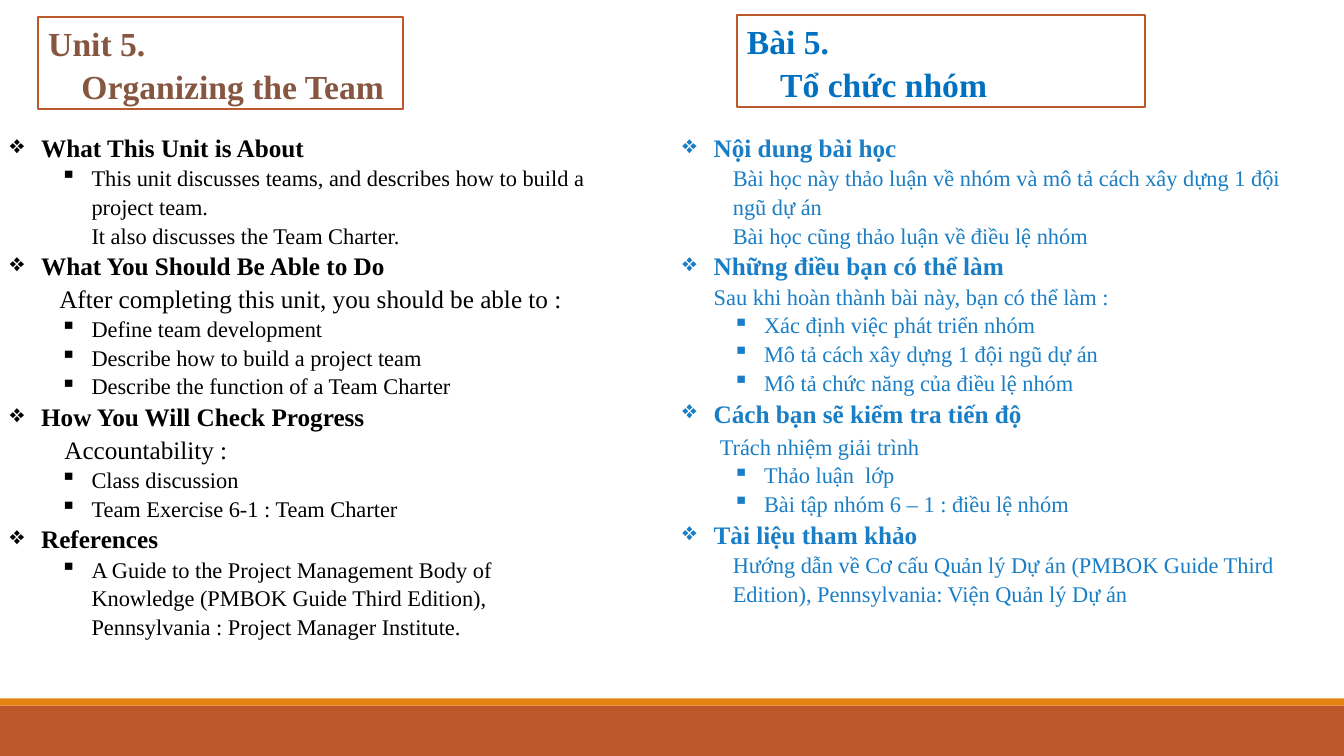
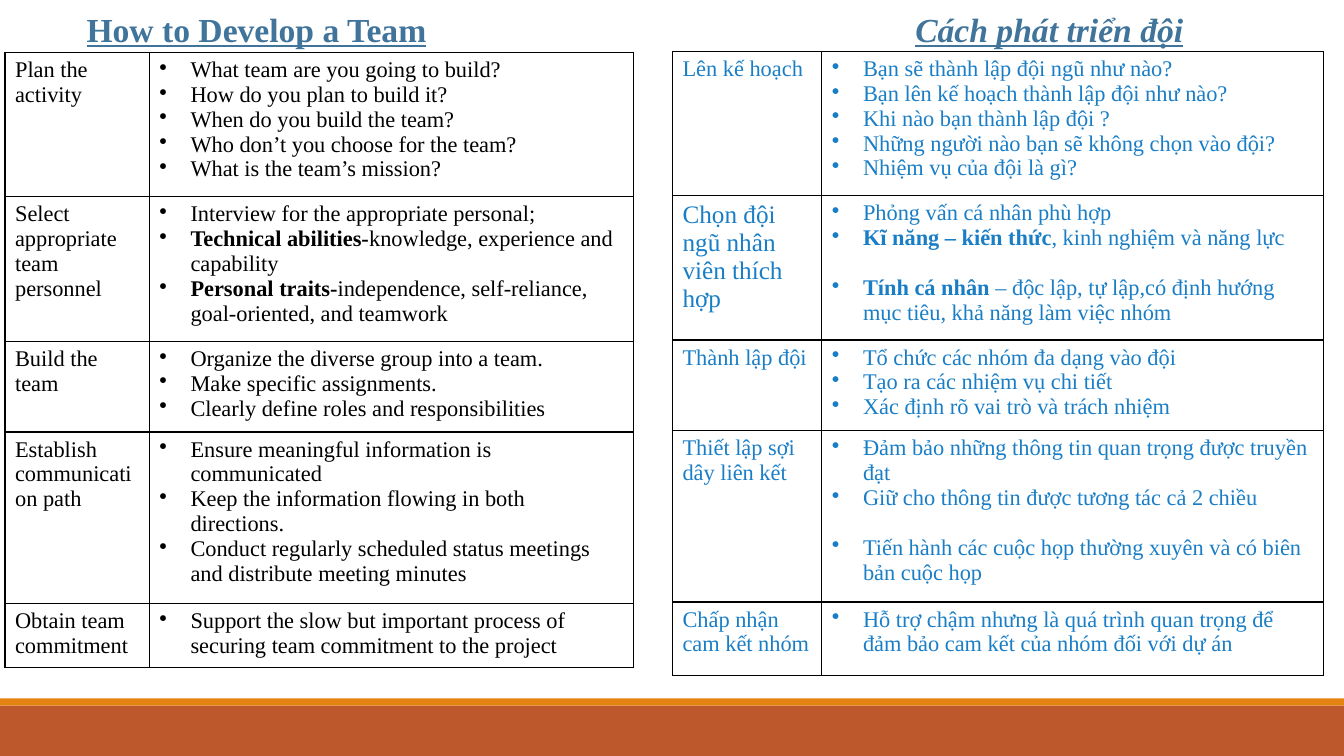
from lxml.etree import SubElement
from pptx import Presentation
from pptx.dml.color import RGBColor
from pptx.enum.shapes import MSO_SHAPE as Shape
from pptx.enum.text import MSO_ANCHOR as Anchor
from pptx.oxml.ns import qn
from pptx.util import Inches, Pt

BLACK, WHITE = "000000", "FFFFFF"
RUST, ORANGE = "BD582C", "E48312"
BROWN, BLUE, SKY, STEEL = "865640", "0070C0", "197EC6", "40749B"

# Line kinds: size, bold, left margin, bullet, space before
LINES = {
    "head": (18, True, 0.31, "❖", 0),
    "item": (16, False, 0.81, "▪", 0),
    "more": (16, False, 0.81, None, 0),
    "body": (16, False, 0.5, None, 0),
    "lead": (18, False, 0.49, None, 0),
    "lead_deep": (18, False, 0.54, None, 0),
    "lead_small": (16, False, 0.31, None, 0),
    "lead_spaced": (16, False, 0.37, None, 2),
    "label": (16, False, 0, None, 0),
    "label_large": (18, False, 0, None, 0),
    "point": (16, False, 0.31, "•", 0),
    "point_spaced": (16, False, 0.31, "•", 17.7),
}


def rgb(value):
    return RGBColor.from_string(value)


class Deck:
    font_name = "Times New Roman"
    hanging = 0.31
    line_spacing = 1.07

    def __init__(self):
        self.deck = Presentation()
        self.deck.slide_width, self.deck.slide_height = Inches(13.33), Inches(7.5)
        self.page = None

    def new_page(self):
        self.page = self.deck.slides.add_slide(self.deck.slide_layouts[6])
        self.rect(0, 7, 13.33, 0.5, RUST)
        self.rect(0, 6.93, 13.33, 0.07, ORANGE)

    def rect(self, left, top, width, height, fill, line=None):
        box = self.page.shapes.add_shape(
            Shape.RECTANGLE, Inches(left), Inches(top), Inches(width), Inches(height))
        box.shadow.inherit = False
        box.fill.solid()
        box.fill.fore_color.rgb = rgb(fill)
        if line:
            box.line.color.rgb = rgb(line)
            box.line.width = Pt(1.25)
        else:
            box.line.fill.background()
        return box

    def text_box(self, left, top, width, height):
        box = self.page.shapes.add_textbox(
            Inches(left), Inches(top), Inches(width), Inches(height))
        box.text_frame.word_wrap = True
        return box.text_frame

    def fill_para(self, para, text, color, size, bold=False, margin=0, bullet=None,
                  before=0, spacing=None, italic=False, underline=False):
        """Fill one paragraph; a (strong, rest) pair starts with a bold run."""
        properties = para._p.get_or_add_pPr()
        properties.set("marL", str(Inches(margin)))
        properties.set("indent", str(Inches(-self.hanging if bullet else 0)))
        properties.set("algn", "l")
        if bullet:
            SubElement(properties, qn("a:buChar"), char=bullet)
        else:
            SubElement(properties, qn("a:buNone"))
        para.space_before = Pt(before)
        if spacing:
            para.line_spacing = spacing
        font = para.font
        font.name, font.size, font.color.rgb = self.font_name, Pt(size), rgb(color)
        font.bold, font.italic, font.underline = bold, italic, underline
        parts = text if isinstance(text, tuple) else (text,)
        for part in parts:
            span = para.add_run()
            span.text = part
            if len(parts) > 1:
                span.font.bold = part is parts[0]

    def lines(self, frame, lines, color, spacing=None):
        for index, (kind, text) in enumerate(lines):
            para = frame.add_paragraph() if index else frame.paragraphs[0]
            size, bold, margin, bullet, before = LINES[kind]
            self.fill_para(para, text, color, size, bold, margin, bullet, before,
                           spacing)

    def framed_title(self, left, top, width, number, name, color):
        frame = self.rect(left, top, width, 0.91, WHITE, RUST).text_frame
        frame.vertical_anchor = Anchor.MIDDLE
        frame.word_wrap = True
        self.fill_para(frame.paragraphs[0], number, color, 24, True,
                       spacing=self.line_spacing)
        self.fill_para(frame.add_paragraph(), name, color, 24, True, margin=0.33,
                       spacing=self.line_spacing)

    def outline(self, left, top, width, height, lines, color):
        self.lines(self.text_box(left, top, width, height), lines, color,
                   self.line_spacing)

    def heading(self, left, width, text, italic=False):
        frame = self.text_box(left, 0.01, width, 0.5)
        self.fill_para(frame.paragraphs[0], text, STEEL, 24, True, italic=italic,
                       underline=True, spacing=self.line_spacing)

    def table(self, left, top, columns, heights, rows, color):
        table = self.page.shapes.add_table(
            len(rows), len(columns), Inches(left), Inches(top),
            Inches(sum(columns)), Inches(sum(heights))).table
        table.first_row = table.horz_banding = False
        for column, width in zip(table.columns, columns):
            column.width = Inches(width)
        for row, height, contents in zip(table.rows, heights, rows):
            row.height = Inches(height)
            for cell, lines in zip(row.cells, contents):
                self.borders(cell)
                cell.fill.background()
                self.lines(cell.text_frame, lines, color)

    def borders(self, cell):
        properties = cell._tc.get_or_add_tcPr()
        for side in ("lnL", "lnR", "lnT", "lnB"):
            edge = SubElement(properties, qn(f"a:{side}"), w=str(Pt(1)))
            fill = SubElement(edge, qn("a:solidFill"))
            SubElement(fill, qn("a:srgbClr"), val=BLACK)


def table_row(label, *points, kind="label", spaced=None):
    """Label cell and bullet cell; spaced is the point with a gap above it."""
    return ([(kind, label)],
            [("point_spaced" if index == spaced else "point", point)
             for index, point in enumerate(points)])


UNIT_ENGLISH = [
    ("head", "What This Unit is About"),
    ("item", "This unit discusses teams, and describes how to build a project team."),
    ("more", "It also discusses the Team Charter."),
    ("head", "What You Should Be Able to Do"),
    ("lead", "After completing this unit, you should be able to :"),
    ("item", "Define team development"),
    ("item", "Describe how to build a project team"),
    ("item", "Describe the function of a Team Charter"),
    ("head", "How You Will Check Progress"),
    ("lead_deep", "Accountability :"),
    ("item", "Class discussion"),
    ("item", "Team Exercise 6-1 : Team Charter"),
    ("head", "References"),
    ("item", "A Guide to the Project Management Body of Knowledge (PMBOK Guide "
             "Third Edition), Pennsylvania : Project Manager Institute."),
]
UNIT_VIETNAMESE = [
    ("head", "Nội dung bài học"),
    ("body", "Bài học này thảo luận về nhóm và mô tả cách xây dựng 1 đội ngũ dự án"),
    ("body", "Bài học cũng thảo luận về điều lệ nhóm"),
    ("head", "Những điều bạn có thể làm"),
    ("lead_small", "Sau khi hoàn thành bài này, bạn có thể làm :"),
    ("item", "Xác định việc phát triển nhóm"),
    ("item", "Mô tả cách xây dựng 1 đội ngũ dự án"),
    ("item", "Mô tả chức năng của điều lệ nhóm"),
    ("head", "Cách bạn sẽ kiểm tra tiến độ"),
    ("lead_spaced", "Trách nhiệm giải trình"),
    ("item", "Thảo luận  lớp"),
    ("item", "Bài tập nhóm 6 – 1 : điều lệ nhóm"),
    ("head", "Tài liệu tham khảo"),
    ("body", "Hướng dẫn về Cơ cấu Quản lý Dự án (PMBOK Guide Third Edition), "
             "Pennsylvania: Viện Quản lý Dự án"),
]
STEPS_ENGLISH = [
    table_row("Plan the activity",
              "What team are you going to build?",
              "How do you plan to build it?",
              "When do you build the team?",
              "Who don’t you choose for the team?",
              "What is the team’s mission?"),
    table_row("Select appropriate team personnel",
              "Interview for the appropriate personal;",
              ("Technical abilities-", "knowledge, experience and capability"),
              ("Personal traits-",
               "independence, self-reliance, goal-oriented, and teamwork")),
    table_row("Build the team",
              "Organize the diverse group into a team.",
              "Make specific assignments.",
              "Clearly define roles and responsibilities"),
    table_row("Establish communication path",
              "Ensure meaningful information is communicated",
              "Keep the information flowing in both directions.",
              "Conduct regularly scheduled status meetings and distribute "
              "meeting minutes"),
    table_row("Obtain team commitment",
              "Support the slow but important process of securing team "
              "commitment to the project"),
]
STEPS_VIETNAMESE = [
    table_row("Lên kế hoạch",
              "Bạn sẽ thành lập đội ngũ như nào?",
              "Bạn lên kế hoạch thành lập đội như nào?",
              "Khi nào bạn thành lập đội ?",
              "Những người nào bạn sẽ không chọn vào đội?",
              "Nhiệm vụ của đội là gì?"),
    table_row("Chọn đội ngũ nhân viên thích hợp",
              "Phỏng vấn cá nhân phù hợp",
              ("Kĩ năng – kiến thức", ", kinh nghiệm và năng lực"),
              ("Tính cá nhân ", "– độc lập, tự lập,có định hướng mục tiêu, "
                                "khả năng làm việc nhóm"),
              kind="label_large", spaced=2),
    table_row("Thành lập đội",
              "Tổ chức các nhóm đa dạng vào đội",
              "Tạo ra các nhiệm vụ chi tiết",
              "Xác định rõ vai trò và trách nhiệm"),
    table_row("Thiết lập sợi dây liên kết",
              "Đảm bảo những thông tin quan trọng được truyền đạt",
              "Giữ cho thông tin được tương tác cả 2 chiều",
              "Tiến hành các cuộc họp thường xuyên và có biên bản cuộc họp",
              spaced=2),
    table_row("Chấp nhận cam kết nhóm",
              "Hỗ trợ chậm nhưng là quá trình quan trọng để đảm bảo cam kết "
              "của nhóm đối với dự án"),
]


def main():
    deck = Deck()

    # Unit overview in two languages
    deck.new_page()
    deck.framed_title(0.38, 0.17, 3.62, "Unit 5.", "Organizing the Team", BROWN)
    deck.outline(0, 1.24, 5.97, 5.18, UNIT_ENGLISH, BLACK)
    deck.framed_title(7.31, 0.15, 4.05, "Bài 5.", "Tổ chức nhóm", BLUE)
    deck.outline(6.67, 1.24, 6.29, 5.02, UNIT_VIETNAMESE, SKY)

    # Team development steps in two languages
    deck.new_page()
    deck.heading(0.76, 3.59, "How to Develop a Team")
    deck.table(0.05, 0.52, (1.43, 4.8), (1.43, 1.43, 0.9, 1.7, 0.64),
               STEPS_ENGLISH, BLACK)
    deck.heading(8.98, 3.2, "Cách phát triển đội", italic=True)
    deck.table(6.67, 0.51, (1.48, 4.98), (1.43, 1.43, 0.9, 1.7, 0.73),
               STEPS_VIETNAMESE, SKY)

    deck.deck.save("out.pptx")


if __name__ == "__main__":
    main()
